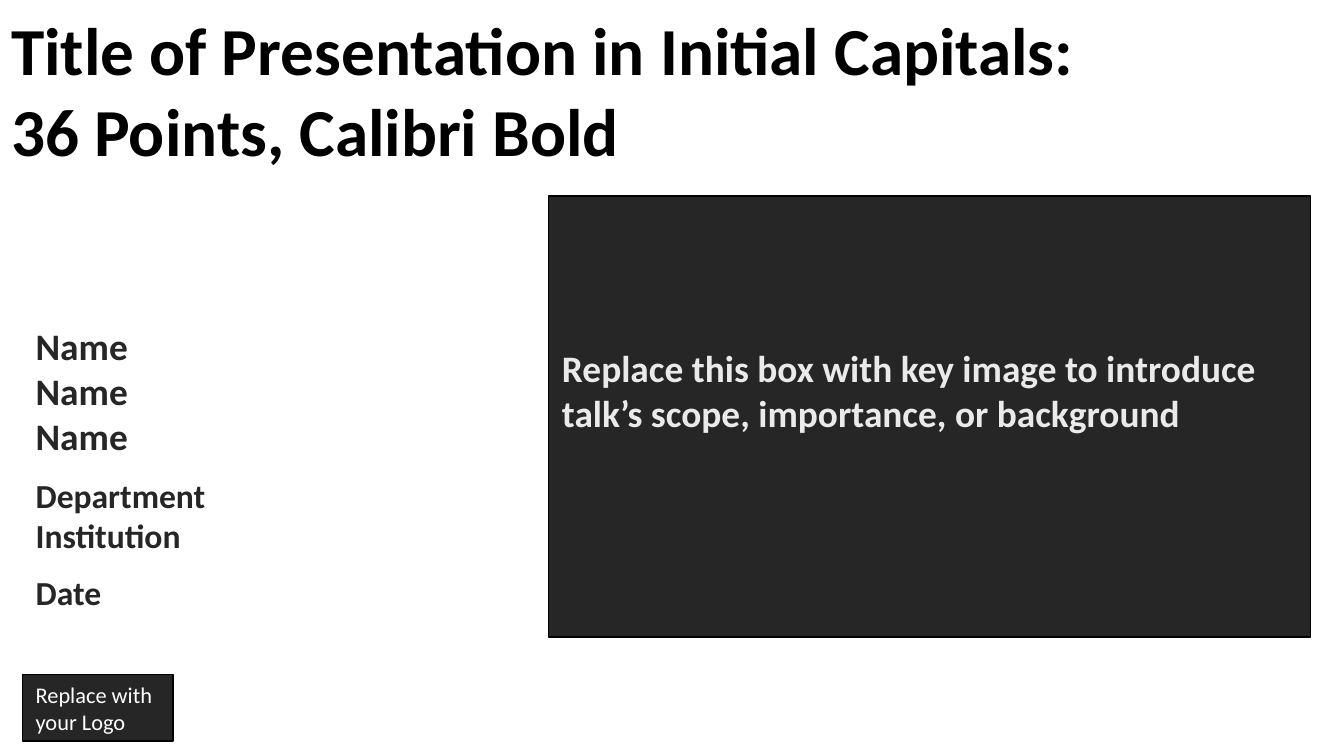
from dataclasses import dataclass

from pptx import Presentation
from pptx.dml.color import RGBColor as Color
from pptx.enum.shapes import MSO_SHAPE as Shape
from pptx.enum.text import MSO_ANCHOR as Anchor, PP_ALIGN as Align
from pptx.util import Inches, Pt

WIDTH = 10
HEIGHT = WIDTH * 9 / 16


@dataclass(frozen=True)
class Theme:
    font: str = "Calibri"
    black: str = "000000"
    dark: str = "262626"
    pale: str = "EAEAEA"
    white: str = "FFFFFF"
    title: int = 36
    name: int = 20
    detail: int = 18
    label: int = 12
    group_gap: int = 9
    outline: float = 0.75


THEME = Theme()


def place(left, top, width, height):
    return (
        Inches(left / 100 * WIDTH),
        Inches(top / 100 * HEIGHT),
        Inches(width / 100 * WIDTH),
        Inches(height / 100 * HEIGHT),
    )


def set_frame(shape, insets, anchor=Anchor.TOP):
    frame = shape.text_frame
    frame.word_wrap = True
    frame.vertical_anchor = anchor
    frame.margin_left, frame.margin_top, frame.margin_right, frame.margin_bottom = map(Inches, insets)


def write(shape, lines, size, color, bold=True, space_before=0):
    frame = shape.text_frame
    for index, line in enumerate(lines):
        first = frame.paragraphs[0]
        para = frame.add_paragraph() if first.runs else first
        para.alignment = Align.LEFT
        para.space_before = Pt(space_before if index == 0 else 0)
        span = para.add_run()
        span.text = line
        span.font.name = THEME.font
        span.font.size = Pt(size)
        span.font.bold = bold
        span.font.color.rgb = Color.from_string(color)


def add_text_box(page, area, insets):
    box = page.shapes.add_textbox(*place(*area))
    set_frame(box, insets)
    return box


def add_panel(page, area, insets, anchor=Anchor.TOP):
    panel = page.shapes.add_shape(Shape.RECTANGLE, *place(*area))
    panel.shadow.inherit = False
    panel.fill.solid()
    panel.fill.fore_color.rgb = Color.from_string(THEME.dark)
    panel.line.color.rgb = Color.from_string(THEME.black)
    panel.line.width = Pt(THEME.outline)
    set_frame(panel, insets, anchor)
    return panel


def add_title(page):
    title = add_text_box(page, (0.83, 1.11, 82, 21.5), (0, 0, 0, 0))
    lines = ["Title of Presentation in Initial Capitals:", "36 Points, Calibri Bold"]
    write(title, lines, THEME.title, THEME.black)


def add_speakers(page):
    speakers = add_text_box(page, (1.67, 42.25, 36.7, 30.4), (0.1, 0.03, 0.1, 0.03))
    write(speakers, ["Name"] * 3, THEME.name, THEME.dark)
    for lines in (["Department", "Institution"], ["Date"]):
        write(speakers, lines, THEME.detail, THEME.dark, space_before=THEME.group_gap)


def add_key_image_panel(page):
    panel = add_panel(page, (40.83, 25.95, 56.7, 58.3), (0.1, 0.05, 0.1, 0.44), Anchor.MIDDLE)
    prompt = "Replace this box with key image to introduce talk’s scope, importance, or background"
    write(panel, [prompt], THEME.name, THEME.pale)


def add_logo_panel(page):
    panel = add_panel(page, (1.67, 89.27, 11.2, 8.75), (0.1, 0.05, 0.1, 0.05))
    write(panel, ["Replace with", "your Logo"], THEME.label, THEME.white, bold=False)


def main():
    deck = Presentation()
    deck.slide_width, deck.slide_height = Inches(WIDTH), Inches(HEIGHT)
    page = deck.slides.add_slide(deck.slide_layouts[6])
    page.background.fill.solid()
    page.background.fill.fore_color.rgb = Color.from_string(THEME.white)
    add_speakers(page)
    add_key_image_panel(page)
    add_logo_panel(page)
    add_title(page)
    deck.save("out.pptx")


if __name__ == "__main__":
    main()
